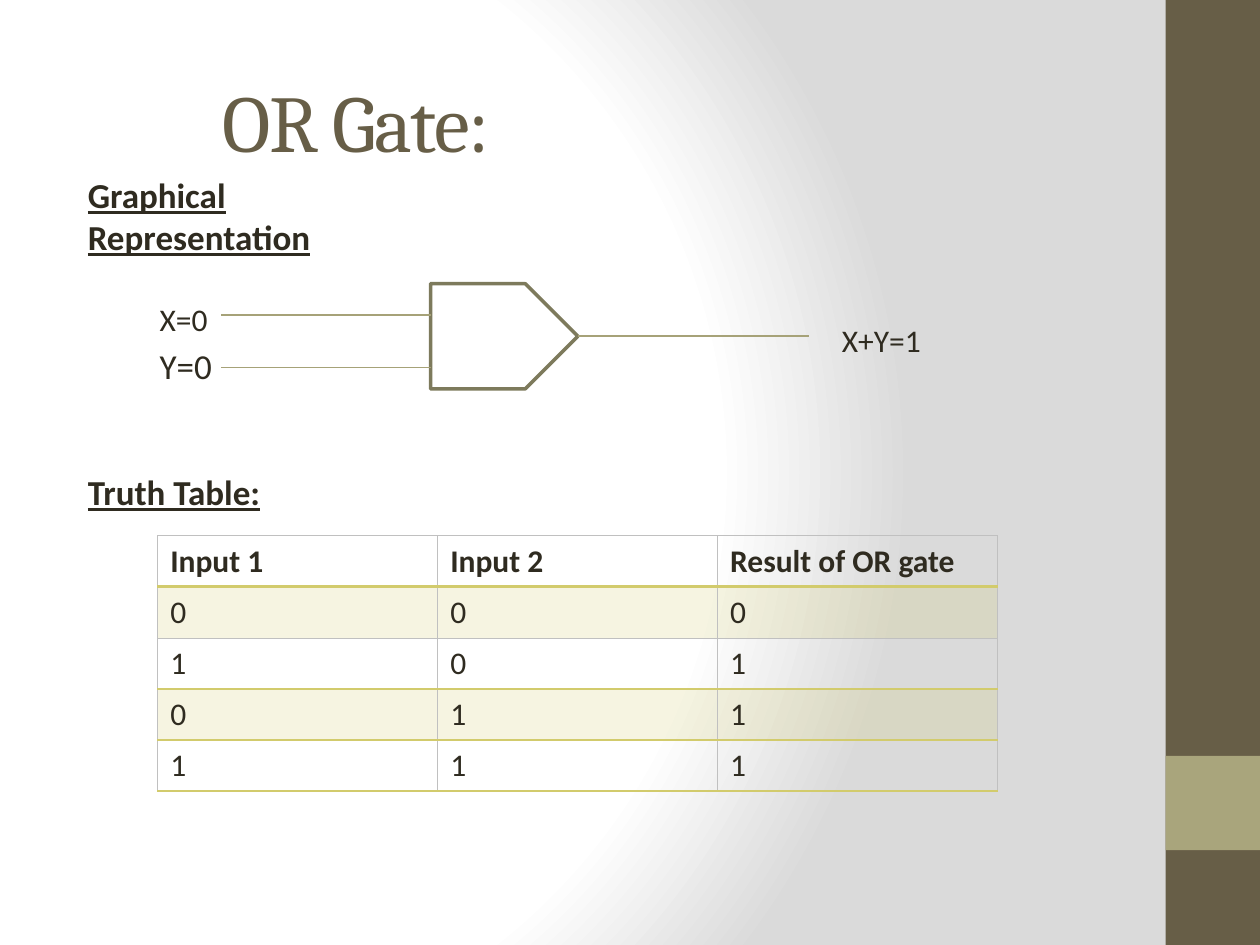
from pptx import Presentation
from pptx.dml.color import RGBColor
from pptx.enum.shapes import MSO_CONNECTOR, MSO_SHAPE
from pptx.enum.text import MSO_ANCHOR, PP_ALIGN
from pptx.oxml import parse_xml
from pptx.oxml.ns import nsdecls, qn
from pptx.util import Cm, Pt
from lxml import etree

RECTANGLE, PENTAGON = MSO_SHAPE.RECTANGLE, MSO_SHAPE.PENTAGON
STRAIGHT = MSO_CONNECTOR.STRAIGHT
LEFT = PP_ALIGN.LEFT
TOP, MIDDLE = MSO_ANCHOR.TOP, MSO_ANCHOR.MIDDLE
RIGHT_SITE = 3

COLORS = {
    "title": "675E47",
    "text": "2F2B20",
    "accent": "A9A57C",
    "gate": "7D7A5C",
    "wire": "A6A278",
    "rule": "D2CB6C",
    "grid": "C0C0C0",
    "white": "FFFFFF",
    "shade": "DADADA",
}

TRUTH_TABLE = [
    ("Input 1", "Input 2", "Result of OR gate"),
    ("0", "0", "0"),
    ("1", "0", "1"),
    ("0", "1", "1"),
    ("1", "1", "1"),
]


def rgb(name):
    """Return the named colour."""
    return RGBColor.from_string(COLORS[name])


def write(frame, text, size=18, font="Calibri", color="text", bold=False,
          underline=False, spacing=None, anchor=TOP):
    """Fill a text frame, one paragraph for each line of text."""
    frame.word_wrap = True
    frame.vertical_anchor = anchor
    frame.text = text
    for paragraph in frame.paragraphs:
        paragraph.alignment = LEFT
        for run in paragraph.runs:
            run.font.size = Pt(size)
            run.font.name = font
            run.font.bold = bold
            run.font.underline = underline
            run.font.color.rgb = rgb(color)
            if spacing is not None:
                run.font._element.set("spc", str(spacing))


def place(shape, left, top, width, height):
    """Move and size a shape, in centimetres."""
    shape.left, shape.top = Cm(left), Cm(top)
    shape.width, shape.height = Cm(width), Cm(height)


def add_label(slide, text, left, top, width, height, **text_format):
    """Add a text box."""
    label = slide.shapes.add_textbox(Cm(left), Cm(top), Cm(width), Cm(height))
    write(label.text_frame, text, **text_format)


def add_block(slide, kind, left, top, width, height, fill, outline=None):
    """Add a filled preset shape with an optional outline."""
    block = slide.shapes.add_shape(kind, Cm(left), Cm(top), Cm(width), Cm(height))
    block.shadow.inherit = False
    block.fill.solid()
    block.fill.fore_color.rgb = rgb(fill)
    if outline:
        block.line.color.rgb = rgb(outline)
        block.line.width = Pt(2)
    else:
        block.line.fill.background()
    return block


def add_wire(slide, start, end, y):
    """Add a horizontal signal line."""
    wire = slide.shapes.add_connector(STRAIGHT, Cm(start), Cm(y), Cm(end), Cm(y))
    wire.line.color.rgb = rgb("wire")
    wire.line.width = Pt(1)
    etree.SubElement(wire._element.spPr, qn("a:effectLst"))
    return wire


def set_background(slide):
    """Give the slide its circular gradient."""
    stops = "".join(
        f'<a:gs pos="{position * 1000}"><a:srgbClr val="{COLORS[name]}"/></a:gs>'
        for position, name in [(0, "white"), (75, "white"), (100, "shade")])
    slide._element.cSld.insert(0, parse_xml(
        f'<p:bg {nsdecls("p", "a")}><p:bgPr><a:gradFill rotWithShape="1">'
        f'<a:gsLst>{stops}</a:gsLst><a:path path="circle">'
        '<a:fillToRect l="20000" t="50000" r="100000" b="50000"/></a:path>'
        '</a:gradFill><a:effectLst/></p:bgPr></p:bg>'))


def set_borders(cell, **borders):
    """Draw cell borders given as side=(colour, points), in schema order."""
    for index, (side, (color, points)) in enumerate(borders.items()):
        cell._tc.get_or_add_tcPr().insert(index, parse_xml(
            f'<a:ln{side} {nsdecls("a")} w="{Pt(points)}"><a:solidFill>'
            f'<a:srgbClr val="{COLORS[color]}"/></a:solidFill></a:ln{side}>'))


def tint(cell, color, percent):
    """Fill a cell with a translucent colour."""
    cell.fill.solid()
    cell.fill.fore_color.rgb = rgb(color)
    swatch = cell._tc.tcPr.find(f'{qn("a:solidFill")}/{qn("a:srgbClr")}')
    etree.SubElement(swatch, qn("a:alpha")).set("val", str(percent * 1000))


def add_truth_table(slide, left, top, width, row_height):
    """Add the truth table with its rules and shaded rows."""
    table = slide.shapes.add_table(
        len(TRUTH_TABLE), len(TRUTH_TABLE[0]), Cm(left), Cm(top),
        Cm(width), Cm(row_height * len(TRUTH_TABLE))).table
    table.horz_banding = False
    grid, rule = ("grid", 0.5), ("rule", 1)
    rules = [grid, ("rule", 2), grid, rule, rule, rule]
    for row, values in enumerate(TRUTH_TABLE):
        for column, value in enumerate(values):
            cell = table.cell(row, column)
            write(cell.text_frame, value, bold=row == 0)
            if row % 2:
                tint(cell, "rule", 20)
            else:
                cell.fill.background()
            set_borders(cell, L=grid, R=grid, T=rules[row], B=rules[row + 1])


def add_gate_diagram(slide):
    """Draw the gate with its two inputs and its output."""
    gate = add_block(slide, PENTAGON, 8.68, 5.72, 2.97, 2.12, "white", "gate")
    output = add_wire(slide, 11.65, 16.3, 6.78)
    output.begin_connect(gate, RIGHT_SITE)
    for y in (6.35, 7.41):
        add_wire(slide, 8.68, 4.45, y)
    add_label(slide, "X=0", 2.97, 5.92, 1.6, 1.02)
    add_label(slide, "Y=0", 2.97, 6.83, 1.8, 1.1, size=20)
    add_label(slide, "X+Y=1", 16.72, 6.35, 2.33, 1.06)


def main():
    """Build the OR gate slide."""
    deck = Presentation()
    deck.slide_width, deck.slide_height = Cm(25.4), Cm(19.05)
    slide = deck.slides.add_slide(deck.slide_layouts[5])
    set_background(slide)
    add_block(slide, RECTANGLE, 23.5, 0, 1.9, 19.05, "title")
    add_block(slide, RECTANGLE, 23.5, 15.24, 1.9, 1.9, "accent")

    title = slide.shapes.title
    place(title, 4.24, 0.84, 18.2, 3.18)
    write(title.text_frame, "OR Gate:", size=46, font="Cambria", color="title",
          spacing=-100, anchor=MIDDLE)

    heading = {"size": 20, "bold": True, "underline": True}
    add_label(slide, "Graphical\nRepresentation", 1.52, 3.38, 7, 2, **heading)
    add_gate_diagram(slide)
    add_label(slide, "Truth Table:", 1.52, 9.37, 7, 1.1, **heading)
    add_truth_table(slide, 3.18, 10.8, 16.93, 1.03)
    deck.save("out.pptx")


if __name__ == "__main__":
    main()
